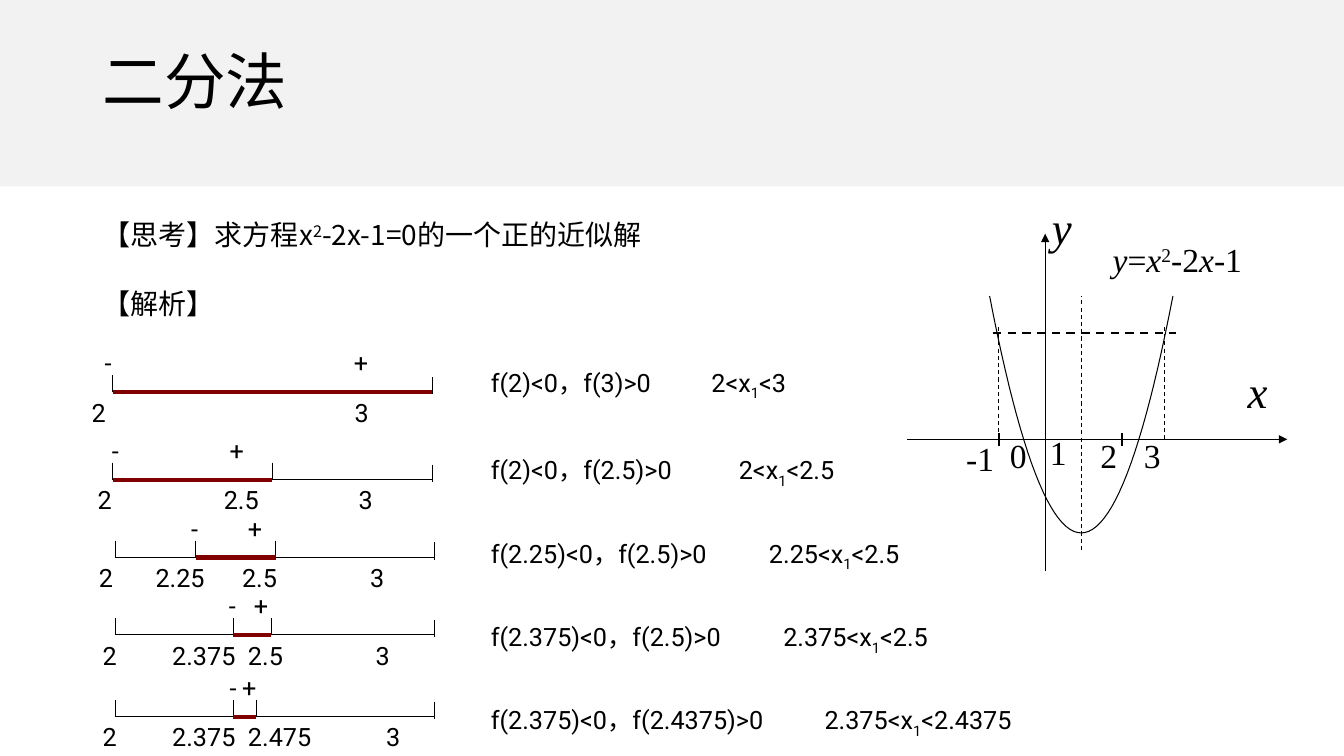
from pptx import Presentation
from pptx import util as u
from pptx.dml.color import RGBColor
from pptx.enum import dml, shapes, text
from pptx.oxml.ns import qn
from lxml import etree

INK = RGBColor(0x00, 0x00, 0x00)
BAND = RGBColor(0xF2, 0xF2, 0xF2)
RED = RGBColor(0x80, 0x00, 0x00)
HAN, SANS, SERIF = "Noto Sans CJK SC", "Roboto", "Times New Roman"
RAISE = {"^": "30000", "_": "-25000"}
PAD = 0.25   # inner margin of a text box
SPAN = 8.05  # length of a number line


def write(slide, x, y, w, h, runs, size=18, font=SANS, tabs=(), mid=False):
    """Runs are (text, style) pairs; style holds i, ^ (super) or _ (sub)."""
    box = slide.shapes.add_textbox(u.Cm(x), u.Cm(y), u.Cm(w), u.Cm(h))
    frame = box.text_frame
    frame.word_wrap = True
    par = frame.paragraphs[0]
    if mid:
        frame.vertical_anchor = text.MSO_ANCHOR.MIDDLE
        par.line_spacing = 0.9
    if tabs:
        stops = etree.SubElement(par._p.get_or_add_pPr(), qn("a:tabLst"))
        for stop in tabs:
            etree.SubElement(stops, qn("a:tab"), pos=str(u.Cm(stop)), algn="l")
    for words, style in runs:
        run = par.add_run()
        run.text = words
        run.font.size = u.Pt(size)
        run.font.name = font
        run.font.color.rgb = INK
        run.font.italic = "i" in style
        props = run.font._element
        etree.SubElement(props, qn("a:ea"), typeface=HAN)
        for mark in style:
            if mark in RAISE:
                props.set("baseline", RAISE[mark])


def rule(slide, x1, y1, x2, y2, width=0.75, color=INK, dash=False, arrow=False):
    line = slide.shapes.add_connector(
        shapes.MSO_CONNECTOR.STRAIGHT, u.Cm(x1), u.Cm(y1), u.Cm(x2), u.Cm(y2))
    line.line.color.rgb = color
    line.line.width = u.Pt(width)
    if dash:
        line.line.dash_style = dml.MSO_LINE.DASH
    if arrow:
        etree.SubElement(line.line._get_or_add_ln(), qn("a:tailEnd"), type="triangle")
    etree.SubElement(line._element.spPr, qn("a:effectLst"))


def head(slide, w, h):
    band = slide.shapes.add_shape(
        shapes.MSO_SHAPE.RECTANGLE, 0, 0, u.Cm(w), u.Cm(h))
    band.shadow.inherit = False
    band.fill.solid()
    band.fill.fore_color.rgb = BAND
    band.line.fill.background()
    write(slide, 2.34, 0.3, 29.2, 3.68, [("二分法", "")], 44, HAN, mid=True)


def task(slide, x, y, w):
    ask = [("【思考】求方程x", ""), ("2", "^"), ("-2x-1=0的一个正的近似解", "")]
    for i, runs in enumerate((ask, [("【解析】", "")])):
        write(slide, x, y + 1.73 * i, w, 1.12, runs, 20, HAN)


def graph(slide, x, y):
    """Draw the parabola with the origin of its axes at x, y."""
    # Axes
    rule(slide, x - 3.48, y, x + 6.1, y, arrow=True)
    rule(slide, x, y + 3.33, x, y - 5.18, arrow=True)
    # Dashed guides: the two equal values and the axis of symmetry
    for dx, low, high in ((-1.17, 0, -2.82), (3, 0, -2.82), (0.91, 2.79, -3.61)):
        rule(slide, x + dx, y + low, x + dx, y + high, dash=True)
    rule(slide, x - 1.32, y - 2.67, x + 3.3, y - 2.67, 1.5, dash=True)
    # Unit ticks
    for dx in (-1.17, 1.93):
        rule(slide, x + dx, y - 0.15, x + dx, y + 0.18, 1.5)
    # Curve
    steps = [i / 24 for i in range(-24, 25)]
    dots = [(u.Cm(x + 0.91 + 2.31 * t), u.Cm(y + 2.36 - 5.97 * t * t)) for t in steps]
    pen = slide.shapes.build_freeform(*dots[0])
    pen.add_line_segments(dots[1:], close=False)
    curve = pen.convert_to_shape()
    curve.shadow.inherit = False
    curve.fill.background()
    curve.line.color.rgb = INK
    curve.line.width = u.Pt(0.75)
    # Labels
    for name, dx, dy in (("x", 4.85, -2.03), ("y", -0.08, -6.15)):
        write(slide, x + dx, y + dy, 1.3, 2.06, [(name, "i")], 32, SERIF)
    for name, dx, dy in (("-1", -2.24, -0.15), ("0", -1.14, -0.23),
                         ("1", -0.13, -0.3), ("2", 1.14, -0.23), ("3", 2.24, -0.23)):
        write(slide, x + dx, y + dy, 1.55, 1.63, [(name, "")], 24, SERIF)
    rhs = [("y", "i"), ("=", ""), ("x", "i"), ("2", "^"), ("-2", ""),
           ("x", "i"), ("-1", "")]
    write(slide, x + 1.45, y - 5.18, 5.87, 1.63, rhs, 24, SERIF)


def spread(slide, x, y, words, spots):
    """Write words on one line, each starting at its spot right of x."""
    first = spots[0]
    write(slide, x + first - PAD, y, spots[-1] - first + 1.2, 1.02,
          [("\t".join(words), "")], tabs=[s - first for s in spots[1:]])


def step(slide, x, y, low, high, signs, names, spots, facts, bound, gap, lift):
    """Draw one bisection step: number line at x, y and its conclusion."""
    rule(slide, x, y, x + SPAN, y)
    for dx in sorted({0, low, high, SPAN}):
        drop = 0.05 if dx == SPAN else 0
        rule(slide, x + dx, y - 0.43 + drop, x + dx, y + drop)
    spread(slide, x, y - 1.24, "-+", signs)
    spread(slide, x, y, names.split(), spots)
    rule(slide, x + low, y, x + high, y, 3, RED)
    left, right = bound
    runs = [(f"{facts}\t{left}<x", ""), ("1", "_"), (f"<{right}", "")]
    write(slide, 12.12, y - lift, 18, 1.02, runs, tabs=[gap])


# x, y, kept interval, sign spots, labels, label spots, facts, bounds, gap, lift
STEPS = [
    (2.84, 9.88, 0, SPAN, (-0.2, 6.08), "2 3", (-0.53, 6.1),
     "f(2)<0，f(3)>0", ("2", "3"), 5.56, 0.76),
    (2.84, 12.09, 0, 4.02, (-0.02, 2.95), "2 2.5 3", (-0.38, 2.8, 6.2),
     "f(2)<0，f(2.5)>0", ("2", "2.5"), 6.25, 0.76),
    (2.9, 14.05, 2.03, 4.05, (1.92, 3.35), "2 2.25 2.5 3", (-0.41, 1.02, 3.2, 6.43),
     "f(2.25)<0，f(2.5)>0", ("2.25", "2.5"), 7.01, 0.61),
    (2.9, 16, 2.98, 3.94, (2.87, 3.5), "2 2.375 2.5 3", (-0.31, 1.44, 3.35, 6.57),
     "f(2.375)<0，f(2.5)>0", ("2.375", "2.5"), 7.37, 0.46),
    (2.9, 18.06, 2.98, 3.56, (2.89, 3.2), "2 2.375 2.475 3", (-0.31, 1.44, 3.35, 6.83),
     "f(2.375)<0，f(2.4375)>0", ("2.375", "2.4375"), 8.41, 0.43),
]


def main():
    deck = Presentation()
    deck.slide_width, deck.slide_height = u.Cm(33.87), u.Cm(19.05)
    slide = deck.slides.add_slide(deck.slide_layouts[6])
    head(slide, 33.87, 4.7)
    task(slide, 2.34, 5.36, 26.95)
    graph(slide, 26.34, 11.07)
    for row in STEPS:
        step(slide, *row)
    deck.save("out.pptx")


if __name__ == "__main__":
    main()
